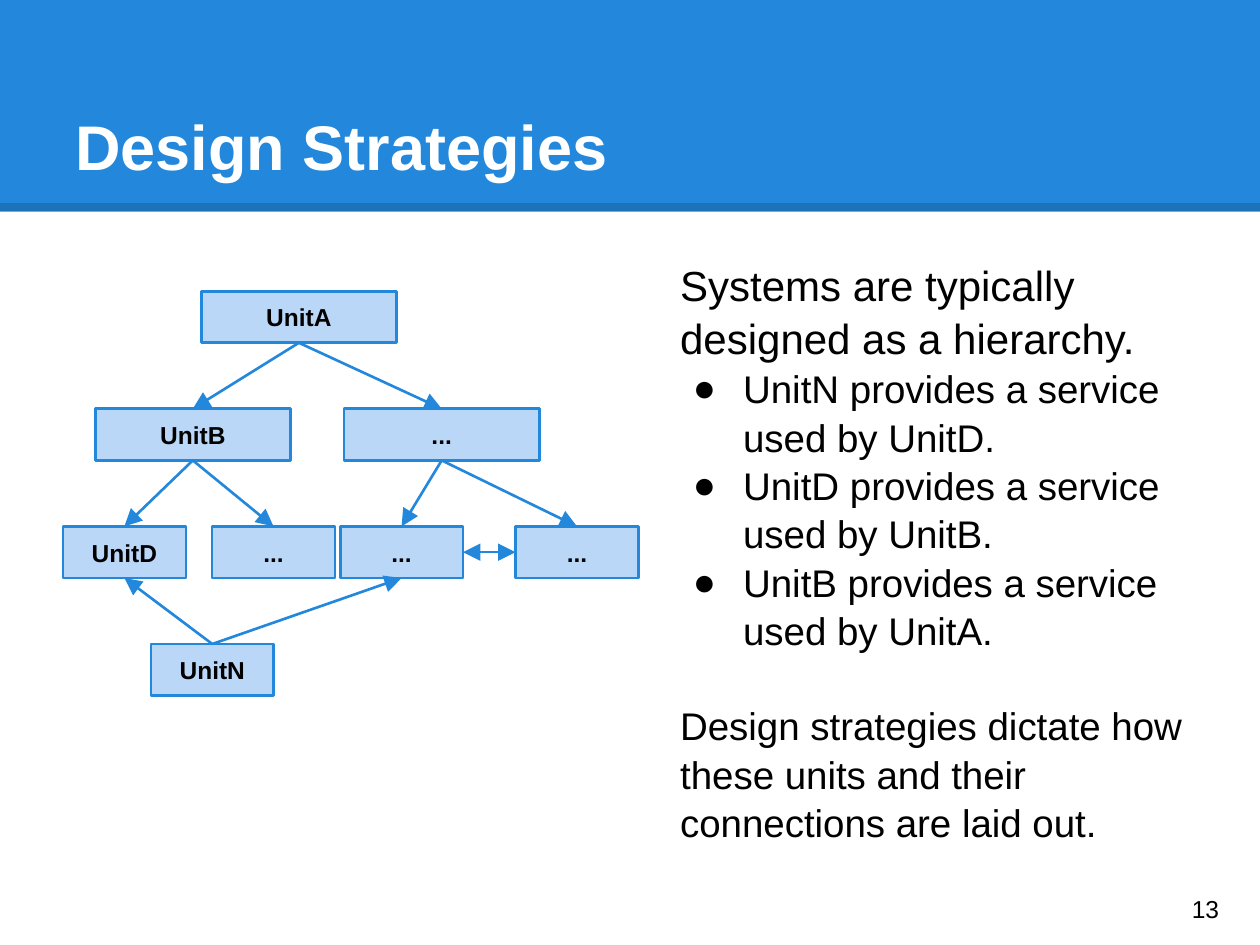
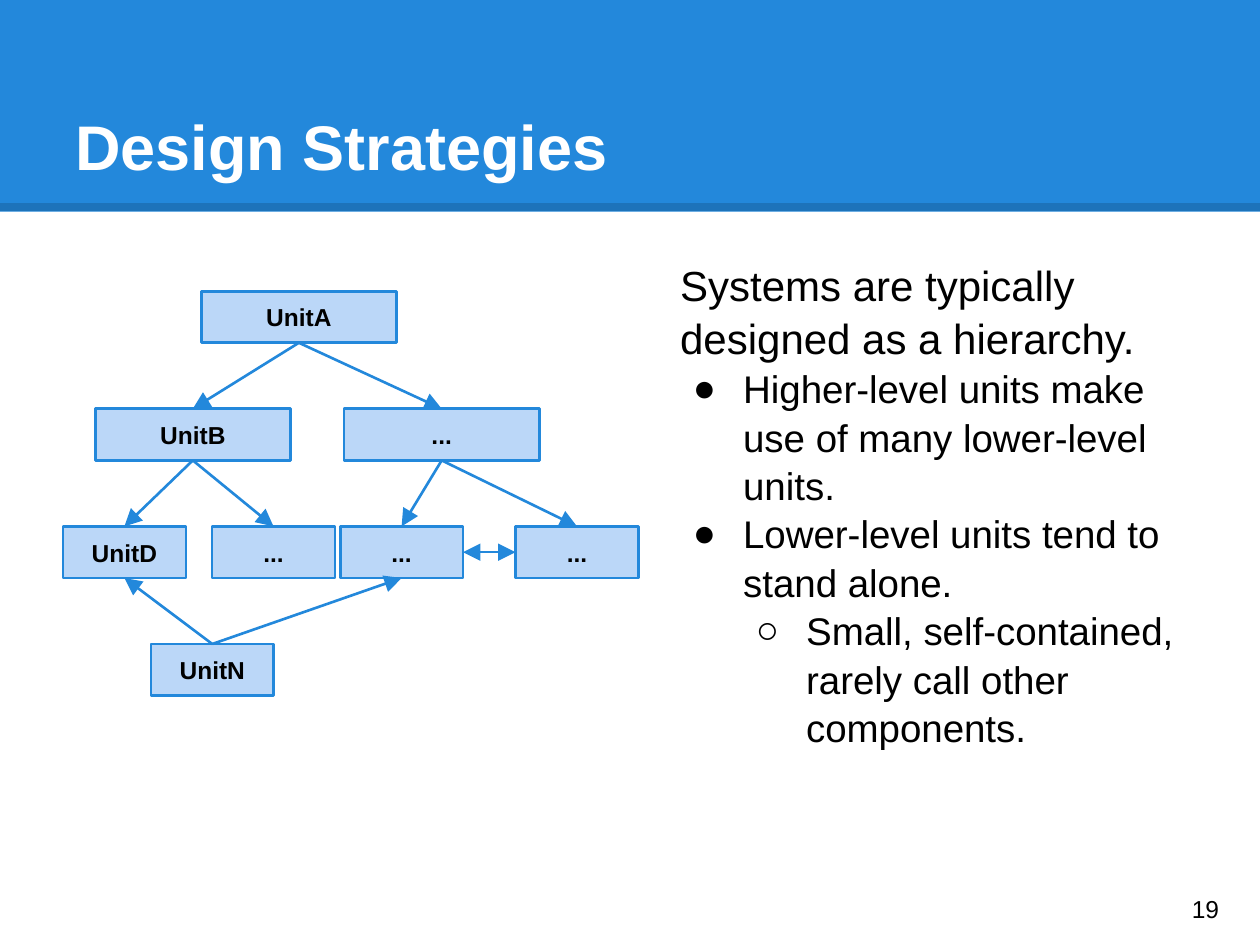
from lxml.etree import SubElement
from pptx import Presentation
from pptx.dml.color import RGBColor
from pptx.enum.shapes import MSO_CONNECTOR as Connector, MSO_SHAPE as Preset
from pptx.enum.text import MSO_ANCHOR as Anchor, PP_ALIGN as Align
from pptx.oxml.ns import qn
from pptx.util import Pt

FONT = "Arial"
BLUE, PALE, BLACK, WHITE = "2388DB", "BBD7F8", "000000", "FFFFFF"
SLIDE_W, SLIDE_H = 720, 540
TOP, LEFT, BOTTOM, RIGHT = range(4)
BULLETS = "●○"
BLANK_LINE = 26.5

ROW_TOP, ROW_STEP, UNIT_H = 166.4, 67.2, 29.5
WIDE, NARROW = 111.6, 70.2
UNITS = {
    "A": ("UnitA", 0, 115, WIDE),
    "B": ("UnitB", 1, 54.4, WIDE),
    "C": ("...", 1, 196.6, WIDE),
    "D": ("UnitD", 2, 36, NARROW),
    "E": ("...", 2, 121.2, NARROW),
    "F": ("...", 2, 194.4, NARROW),
    "G": ("...", 2, 294.6, NARROW),
    "N": ("UnitN", 3, 86.2, NARROW),
}
CALLS_DOWN = ["AB", "AC", "BD", "BE", "CF", "CG"]
CALLS_UP = ["ND", "NF"]

HIERARCHY = "Systems are typically designed as a hierarchy."
SERVICES = [
    (HIERARCHY, 24, None, 0),
    ("UnitN provides a service used by UnitD.", 22, 0, 0),
    ("UnitD provides a service used by UnitB.", 22, 0, 0),
    ("UnitB provides a service used by UnitA.", 22, 0, 0),
    ("Design strategies dictate how these units and their connections are laid out.",
     22, None, BLANK_LINE),
]
LEVELS = [
    (HIERARCHY, 24, None, 0),
    ("Higher-level units make use of many lower-level units.", 22, 0, 0),
    ("Lower-level units tend to stand alone.", 22, 0, 0),
    ("Small, self-contained, rarely call other components.", 22, 1, 0),
]


def color(hex_code):
    """Turn a hex string into a colour."""
    return RGBColor.from_string(hex_code)


def add_run(paragraph, text, size, ink=BLACK, bold=False):
    """Add one styled run to a paragraph."""
    run = paragraph.add_run()
    run.text = text
    run.font.name, run.font.size, run.font.bold = FONT, Pt(size), bold
    run.font.color.rgb = color(ink)


def set_frame(shape, anchor):
    """Wrap the text of a shape with even insets and return its frame."""
    frame = shape.text_frame
    frame.word_wrap = True
    frame.vertical_anchor = anchor
    frame.margin_left = frame.margin_right = Pt(7.2)
    frame.margin_top = frame.margin_bottom = Pt(7.2)
    return frame


def add_text(slide, left, top, width, height, anchor):
    """Add an empty text box and return its frame."""
    box = slide.shapes.add_textbox(Pt(left), Pt(top), Pt(width), Pt(height))
    return set_frame(box, anchor)


def add_rect(slide, left, top, width, height, fill):
    """Add a flat rectangle without an outline."""
    rect = slide.shapes.add_shape(
        Preset.RECTANGLE, Pt(left), Pt(top), Pt(width), Pt(height))
    rect.shadow.inherit = False
    rect.fill.solid()
    rect.fill.fore_color.rgb = color(fill)
    rect.line.fill.background()
    return rect


def add_line(slide, start, end, ink, weight):
    """Add a straight line without a shadow."""
    line = slide.shapes.add_connector(
        Connector.STRAIGHT, *(Pt(value) for value in (*start, *end)))
    line.line.color.rgb = color(ink)
    line.line.width = Pt(weight)
    SubElement(line._element.spPr, qn("a:effectLst"))
    return line


def add_header(slide, title):
    """Add the title band, its shaded lower edge and the title."""
    add_rect(slide, 0, 0, SLIDE_W, 121, BLUE)
    edge = add_line(slide, (0, 118.4), (SLIDE_W, 118.4), BLACK, 4.5)
    ink = edge.line.fill._xPr.find(qn("a:solidFill"))[0]
    SubElement(ink, qn("a:alpha"), val="15000")
    frame = add_text(slide, 36, 21.6, 648, 90, Anchor.BOTTOM)
    add_run(frame.paragraphs[0], title, 36, WHITE, bold=True)


def add_page_number(slide, number):
    """Add the page number in the lower right corner."""
    frame = add_text(slide, 674, 499, 43.2, 41, Anchor.MIDDLE)
    add_run(frame.paragraphs[0], str(number), 14)


def add_unit(slide, label, row, left, width):
    """Add one unit box of the hierarchy."""
    unit = add_rect(slide, left, ROW_TOP + row * ROW_STEP, width, UNIT_H, PALE)
    unit.line.color.rgb = color(BLUE)
    unit.line.width = Pt(1.5)
    paragraph = set_frame(unit, Anchor.MIDDLE).paragraphs[0]
    paragraph.alignment = Align.CENTER
    add_run(paragraph, label, 14, bold=True)
    return unit


def add_arrow(slide, caller, caller_side, callee, callee_side, ends=("tailEnd",)):
    """Join two units with an arrow."""
    arrow = add_line(slide, (0, 0), (0, 0), BLUE, 1.5)
    arrow.begin_connect(caller, caller_side)
    arrow.end_connect(callee, callee_side)
    for end in ends:
        SubElement(arrow.line.fill._xPr, qn(f"a:{end}"),
                   type="triangle", w="lg", len="lg")


def add_hierarchy(slide):
    """Add the units and the calls between them."""
    units = {key: add_unit(slide, *unit) for key, unit in UNITS.items()}
    for caller, callee in CALLS_DOWN:
        add_arrow(slide, units[caller], BOTTOM, units[callee], TOP)
    for caller, callee in CALLS_UP:
        add_arrow(slide, units[caller], TOP, units[callee], BOTTOM)
    add_arrow(slide, units["F"], RIGHT, units["G"], LEFT, ("headEnd", "tailEnd"))


def set_bullet(paragraph, level):
    """Give a paragraph the hanging bullet of its level."""
    paragraph.level = level
    props = paragraph._p.get_or_add_pPr()
    props.set("marL", str(Pt(36 * (level + 1))))
    props.set("indent", str(Pt(-28.8)))
    SubElement(props, qn("a:buFont"), typeface=FONT)
    SubElement(props, qn("a:buChar"), char=BULLETS[level])


def add_explanation(slide, points):
    """Add the text beside the hierarchy."""
    frame = add_text(slide, 381.6, 139.7, 302.4, 306, Anchor.TOP)
    for index, (text, size, level, gap) in enumerate(points):
        paragraph = frame.add_paragraph() if index else frame.paragraphs[0]
        if level is not None:
            set_bullet(paragraph, level)
        paragraph.line_spacing = 1.05
        if gap:
            paragraph.space_before = Pt(gap)
        add_run(paragraph, text, size)


def add_strategy_slide(deck, number, points):
    """Add one slide with the hierarchy and its explanation."""
    slide = deck.slides.add_slide(deck.slide_layouts[6])
    add_header(slide, "Design Strategies")
    add_hierarchy(slide)
    add_explanation(slide, points)
    add_page_number(slide, number)


def main():
    """Build and save the deck."""
    deck = Presentation()
    deck.slide_width, deck.slide_height = Pt(SLIDE_W), Pt(SLIDE_H)
    add_strategy_slide(deck, 13, SERVICES)
    add_strategy_slide(deck, 19, LEVELS)
    deck.save("out.pptx")


if __name__ == "__main__":
    main()
